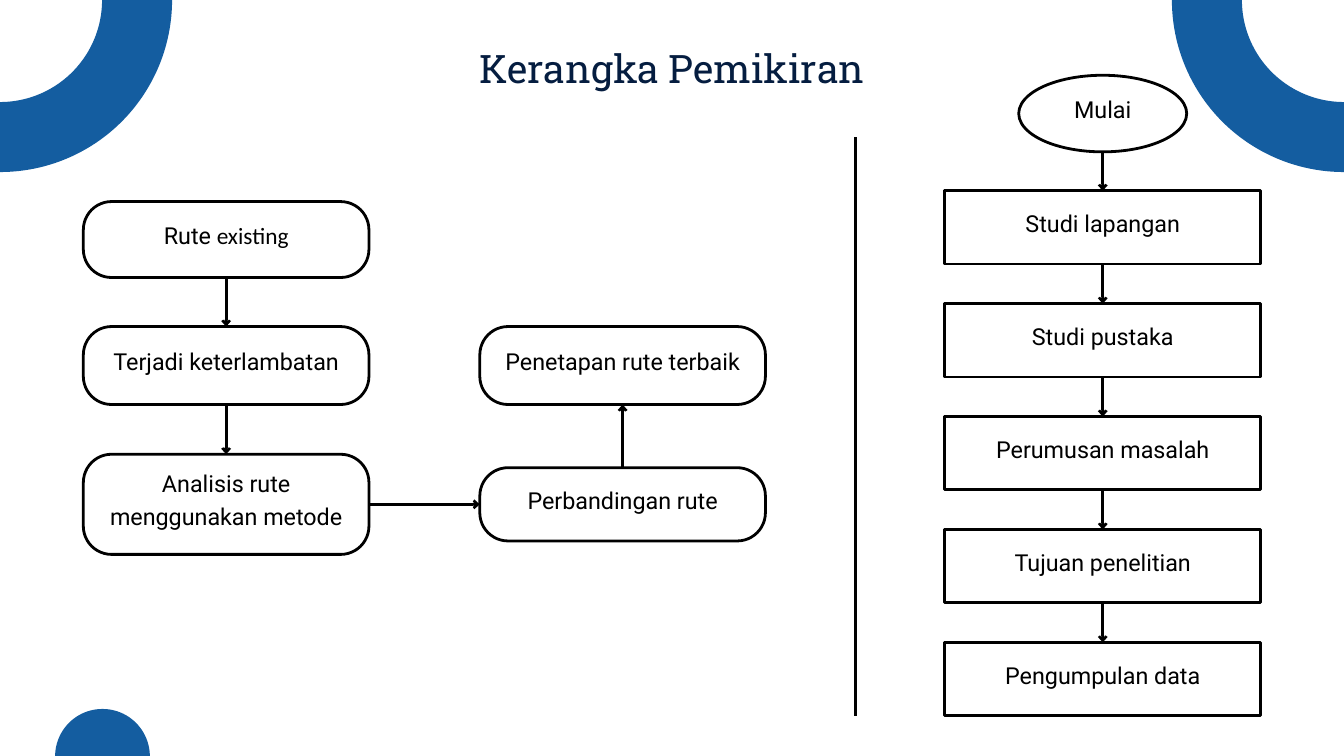
from itertools import pairwise

from lxml import etree
from pptx import Presentation
from pptx.dml.color import RGBColor
from pptx.enum import shapes, text
from pptx.oxml import ns
from pptx.util import Inches, Pt

BLUE, NAVY, BLACK = "145DA0", "051D40", "000000"
KINDS = shapes.MSO_SHAPE


def color(hex_code):
    """Return the colour for a hex string."""
    return RGBColor.from_string(hex_code)


def write(tf, runs, size=25, ink=BLACK, leading=35, insets=(0.06, 0, 0.06, 0.2)):
    """Fill a text frame with one centred paragraph of (text, font) runs."""
    tf.word_wrap = True
    tf.margin_left, tf.margin_top, tf.margin_right, tf.margin_bottom = map(Inches, insets)
    p = tf.paragraphs[0]
    p.alignment = text.PP_ALIGN.CENTER
    p.line_spacing = Pt(leading)
    for words, font in runs:
        r = p.add_run()
        r.text = words
        r.font.name, r.font.size = font, Pt(size)
        r.font.color.rgb = color(ink)


def add_shape(slide, kind, box, fill=None, line=None, width=3):
    """Add a preset shape in a (left, top, width, height) box."""
    sp = slide.shapes.add_shape(kind, *map(Inches, box))
    sp.shadow.inherit = False
    if fill:
        sp.fill.solid()
        sp.fill.fore_color.rgb = color(fill)
    else:
        sp.fill.background()
    if line:
        sp.line.color.rgb = color(line)
        sp.line.width = Pt(width)
    else:
        sp.line.fill.background()
    return sp


def add_step(slide, kind, box, runs):
    """Add an outlined step of a flow with its label."""
    sp = add_shape(slide, kind, box, line=BLACK)
    if kind == KINDS.ROUNDED_RECTANGLE:
        sp.adjustments[0] = 0.42 / box[3]
    sp.text_frame.vertical_anchor = text.MSO_ANCHOR.MIDDLE
    write(sp.text_frame, runs)


def add_line(slide, start, end, arrow=True):
    """Add a straight black line, with an arrowhead at its end if wanted."""
    cx = slide.shapes.add_connector(
        shapes.MSO_CONNECTOR.STRAIGHT, *map(Inches, (*start, *end)))
    cx.line.color.rgb = color(BLACK)
    cx.line.width = Pt(3)
    if arrow:
        etree.SubElement(cx.line._get_or_add_ln(), ns.qn("a:tailEnd"),
                         type="arrow", w="med", len="sm")
    etree.SubElement(cx._element.spPr, ns.qn("a:effectLst"))


def add_decor(slide, width, height):
    """Place rings on the top corners and a disc on the bottom edge."""
    radius = 2.04
    for x in (0, width):
        add_shape(slide, KINDS.OVAL, (x - radius, -radius, 2 * radius, 2 * radius),
                  line=BLUE, width=75)
    add_shape(slide, KINDS.OVAL, (0.82, height - 0.7, 1.41, 1.41), fill=BLUE)


def add_title(slide, box):
    """Place the slide title."""
    tf = slide.shapes.add_textbox(*map(Inches, box)).text_frame
    write(tf, [("Kerangka Pemikiran", "Roboto Slab")], size=42, ink=NAVY,
          leading=58.8, insets=(0, 0, 0, 0))


def add_route_flow(slide, left, top, width):
    """Place the route flow: down the left column, then up the right one."""
    step_w = 4.25
    right = left + width - step_w
    steps = [
        (left, 0, 1.13, [("Rute ", "Roboto"), ("existing", "Calibri")]),
        (left, 1.86, 1.16, [("Terjadi keterlambatan", "Roboto")]),
        (left, 3.76, 1.49, [("Analisis rute menggunakan metode", "Roboto")]),
        (right, 3.96, 1.09, [("Perbandingan rute", "Roboto")]),
        (right, 1.86, 1.16, [("Penetapan rute terbaik", "Roboto")]),
    ]
    boxes = [(x, top + dy, step_w, h) for x, dy, h, _ in steps]
    for box, step in zip(boxes, steps):
        add_step(slide, KINDS.ROUNDED_RECTANGLE, box, step[3])
    for (x1, y1, w, h1), (x2, y2, _, h2) in pairwise(boxes):
        if x1 != x2:
            add_line(slide, (x1 + w, y1 + h1 / 2), (x2, y2 + h2 / 2))
        elif y2 > y1:
            add_line(slide, (x1 + w / 2, y1 + h1), (x2 + w / 2, y2))
        else:
            add_line(slide, (x1 + w / 2, y1), (x2 + w / 2, y2 + h2))


def add_study_flow(slide, left, top, width, height):
    """Place the start oval and the evenly spaced study steps below it."""
    labels = ["Studi lapangan", "Studi pustaka", "Perumusan masalah",
              "Tujuan penelitian", "Pengumpulan data"]
    oval_w, oval_h, step_h, gap = 2.5, 1.14, 1.09, 0.59
    middle, bottom = left + width / 2, top + height
    add_step(slide, KINDS.OVAL, (middle - oval_w / 2, top, oval_w, oval_h),
             [("Mulai", "Roboto")])
    first = bottom - len(labels) * step_h - (len(labels) - 1) * gap
    for i, label in enumerate(labels):
        y = first + i * (step_h + gap)
        add_step(slide, KINDS.RECTANGLE, (left, y, width, step_h), [(label, "Roboto")])
        add_line(slide, (middle, y - gap), (middle, y))


def main():
    """Build and save the slide."""
    prs = Presentation()
    width, height = 20, 11.25
    prs.slide_width, prs.slide_height = Inches(width), Inches(height)
    slide = prs.slides.add_slide(prs.slide_layouts[6])
    add_decor(slide, width, height)
    add_title(slide, (3.37, 0.54, 13.26, 0.77))
    add_route_flow(slide, 1.24, 3, 10.15)
    add_line(slide, (12.73, 2.04), (12.73, 10.65), arrow=False)
    add_study_flow(slide, 14.06, 1.12, 4.7, 9.53)
    prs.save("out.pptx")


if __name__ == "__main__":
    main()
